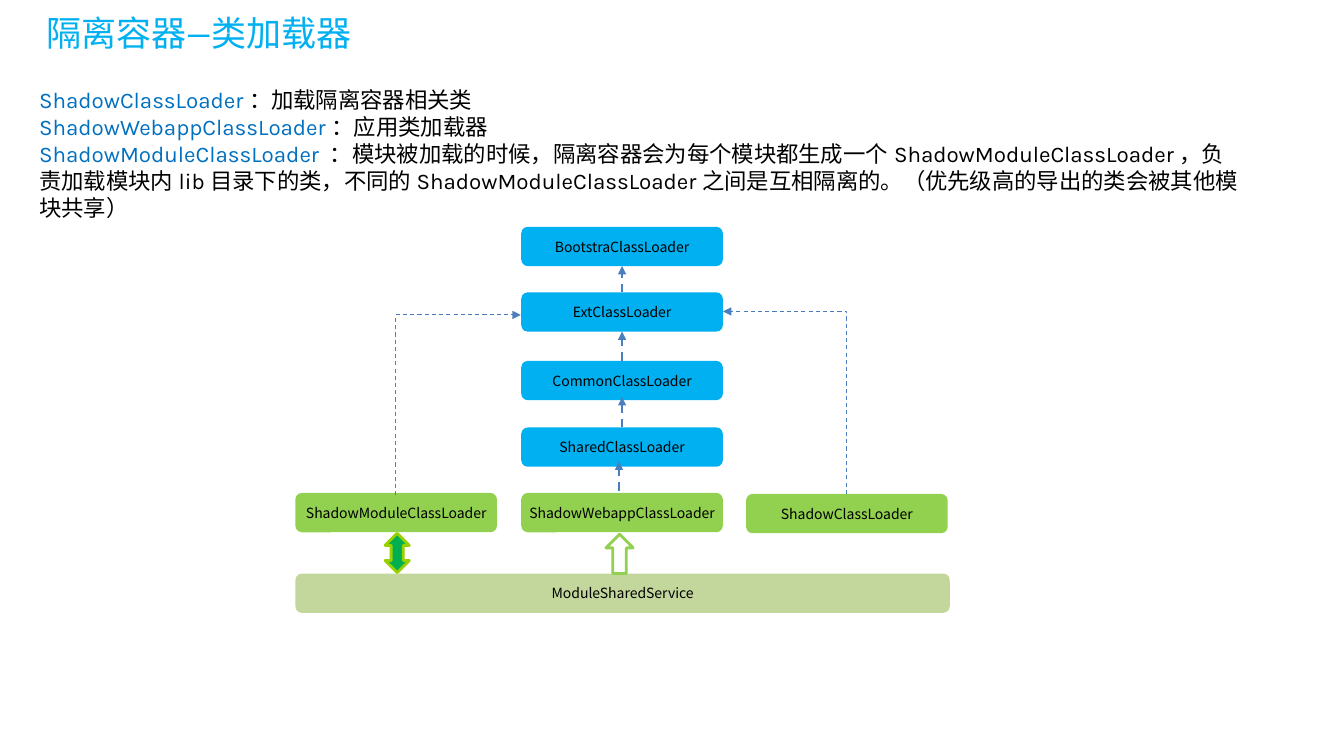
from lxml.etree import SubElement
from pptx import Presentation
from pptx.dml.color import RGBColor
from pptx.enum.dml import MSO_LINE_DASH_STYLE as Dash
from pptx.enum.shapes import MSO_CONNECTOR as Connector, MSO_SHAPE as Preset
from pptx.enum.text import MSO_ANCHOR as Anchor, PP_ALIGN as Align
from pptx.oxml.ns import qn
from pptx.util import Pt

EMU_PER_PX = 9144
BOX_WIDTH, BOX_HEIGHT = 200, 39
CENTER_LEFT = 517
CENTER_X = CENTER_LEFT + BOX_WIDTH // 2
BLUE, GREEN, PALE_GREEN = "00B0F0", "92D050", "C3D69B"
TERM_BLUE, BLACK, LINE_BLUE = "0070C0", "000000", "4B7EBC"

DESCRIPTIONS = [
    ("ShadowClassLoader", "：加载隔离容器相关类"),
    ("ShadowWebappClassLoader", "：应用类加载器"),
    ("ShadowModuleClassLoader ",
     "：模块被加载的时候，隔离容器会为每个模块都生成一个ShadowModuleClassLoader，"
     "负责加载模块内lib目录下的类，不同的ShadowModuleClassLoader之间是互相隔离的。"
     "（优先级高的导出的类会被其他模块共享）"),
]


def px(*lengths):
    return [length * EMU_PER_PX for length in lengths]


def color(value):
    return RGBColor.from_string(value)


def write_text(paragraph, text, size=10, font="Noto Sans CJK SC", fill=BLACK, align=None):
    paragraph.alignment = align
    run = paragraph.add_run()
    run.text = text
    run.font.size = Pt(size)
    run.font.name = font
    run.font.color.rgb = color(fill)
    SubElement(run.font._element, qn("a:ea"), typeface=font)


def set_frame(frame, insets, anchor):
    frame.word_wrap = True
    frame.vertical_anchor = anchor
    side, edge = px(*insets)
    frame.margin_left = frame.margin_right = side
    frame.margin_top = frame.margin_bottom = edge


def add_text_box(slide, bounds, lines, size, insets, anchor):
    frame = slide.shapes.add_textbox(*px(*bounds)).text_frame
    set_frame(frame, insets, anchor)
    for index, line in enumerate(lines):
        paragraph = frame.add_paragraph() if index else frame.paragraphs[0]
        for text, fill in line:
            write_text(paragraph, text, size=size, font="Karla", fill=fill)


def add_preset(slide, preset, bounds, fill, outline=None):
    shape = slide.shapes.add_shape(preset, *px(*bounds))
    shape.shadow.inherit = False
    shape.fill.solid()
    shape.fill.fore_color.rgb = color(fill)
    if outline:
        shape.line.color.rgb = color(outline)
        shape.line.width = Pt(2)
    else:
        shape.line.fill.background()
    return shape


def add_box(slide, text, left, top, fill, width=BOX_WIDTH):
    bounds = (left, top, width, BOX_HEIGHT)
    box = add_preset(slide, Preset.ROUNDED_RECTANGLE, bounds, fill)
    set_frame(box.text_frame, (0, 5), Anchor.MIDDLE)
    write_text(box.text_frame.paragraphs[0], text, align=Align.CENTER)
    return box


def style_arrow(connector, width):
    connector.line.color.rgb = color(LINE_BLUE)
    connector.line.width = Pt(width)
    connector.line.dash_style = Dash.DASH
    SubElement(connector.line._get_or_add_ln(), qn("a:tailEnd"), type="triangle")
    SubElement(connector._element.spPr, qn("a:effectLst"))


def add_arrow(slide, start, end, lower=None, upper=None):
    connector = slide.shapes.add_connector(Connector.STRAIGHT, *px(*start, *end))
    if lower:
        connector.begin_connect(lower, 0)
    if upper:
        connector.end_connect(upper, 2)
    style_arrow(connector, 1.5)


def add_bent_arrow(slide, start, end):
    (start_x, start_y), (end_x, end_y) = start, end
    rise, run = start_y - end_y, abs(end_x - start_x)
    left = (start_x + end_x - rise) // 2
    top = (start_y + end_y - run) // 2
    connector = slide.shapes.add_connector(
        Connector.ELBOW, *px(left, top, left + rise, top + run))
    properties = connector._element.spPr
    properties.find(qn("a:prstGeom")).set("prst", "bentConnector2")
    frame = properties.find(qn("a:xfrm"))
    goes_right = end_x > start_x
    frame.set("rot", str((90 if goes_right else 270) * 60000))
    frame.set("flipH", "1" if goes_right else "0")
    frame.set("flipV", "1")
    style_arrow(connector, 0.75)


def main():
    presentation = Presentation()
    presentation.slide_width, presentation.slide_height = px(1333, 750)
    slide = presentation.slides.add_slide(presentation.slide_layouts[6])

    add_text_box(slide, (29, 5, 1215, 55), [[("隔离容器—类加载器", BLUE)]],
                 25, (17, 8), Anchor.MIDDLE)
    lines = [[(term, TERM_BLUE), (meaning, BLACK)] for term, meaning in DESCRIPTIONS]
    add_text_box(slide, (29, 81, 1215, 118), lines, 16, (10, 5), Anchor.TOP)

    bootstrap, extension, common, shared = [
        add_box(slide, f"{name}ClassLoader", CENTER_LEFT, top, BLUE)
        for name, top in [("Bootstra", 225), ("Ext", 290), ("Common", 358), ("Shared", 424)]
    ]
    for name, left, top in [("ShadowModule", 293, 489),
                            ("ShadowWebapp", CENTER_LEFT, 489),
                            ("Shadow", 740, 490)]:
        add_box(slide, f"{name}ClassLoader", left, top, GREEN)
    add_box(slide, "ModuleSharedService", 293, 569, PALE_GREEN, width=649)

    add_arrow(slide, (CENTER_X, 290), (CENTER_X, 264), extension, bootstrap)
    add_arrow(slide, (CENTER_X, 358), (CENTER_X, 329), common, extension)
    add_arrow(slide, (CENTER_X, 424), (CENTER_X, 394), lower=shared)
    add_arrow(slide, (614, 487), (614, 458))

    add_preset(slide, Preset.UP_DOWN_ARROW, (382, 529, 24, 39), "00B050", "99D000")
    add_preset(slide, Preset.UP_ARROW, (601, 530, 27, 39), "FFFFFF", GREEN)
    add_bent_arrow(slide, (393, 492), (CENTER_LEFT, 313))
    add_bent_arrow(slide, (840, 490), (CENTER_LEFT + BOX_WIDTH, 309))

    presentation.save("out.pptx")


if __name__ == "__main__":
    main()
